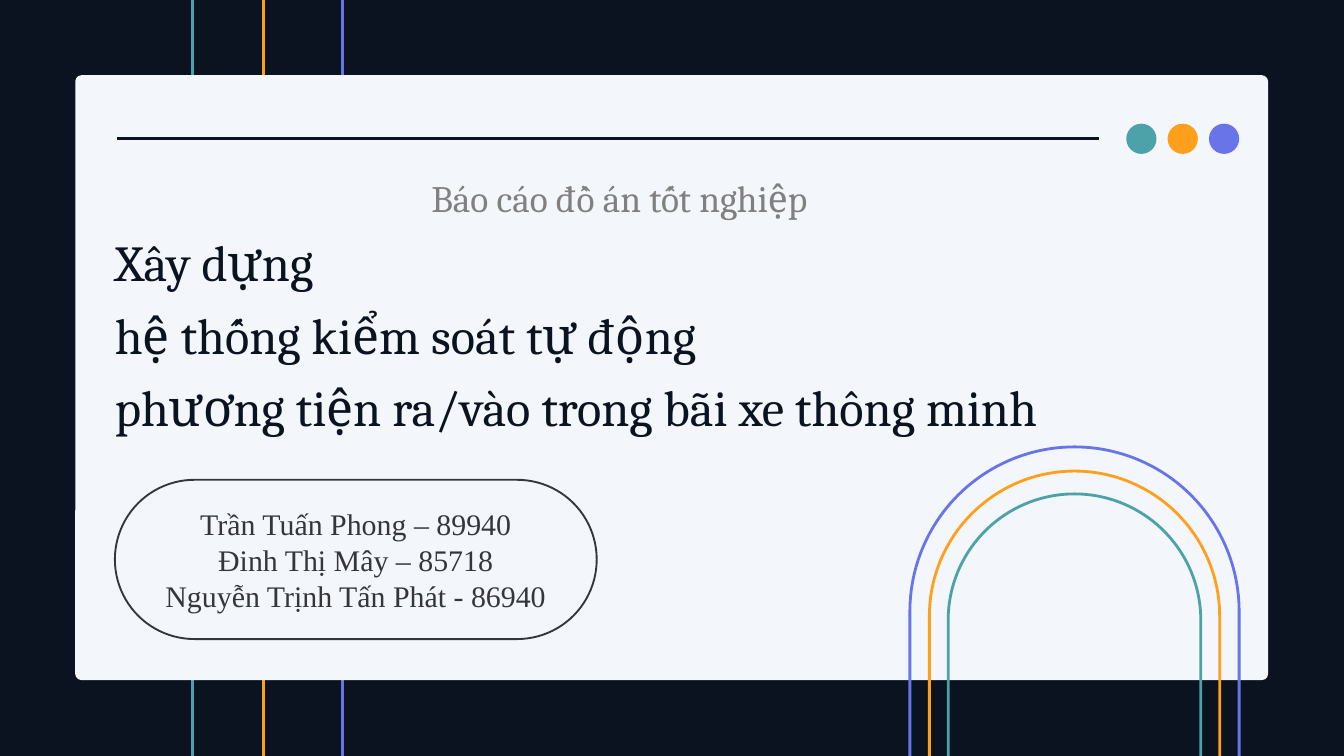
from lxml import etree
from pptx import Presentation
from pptx.dml.color import RGBColor
from pptx.enum.shapes import MSO_CONNECTOR, MSO_SHAPE
from pptx.enum.text import MSO_ANCHOR, MSO_AUTO_SIZE, PP_ALIGN
from pptx.oxml.ns import qn
from pptx.util import Inches, Pt

COLORS = {
    "navy": "0B1320",
    "panel": "F3F6FA",
    "teal": "4DA1A9",
    "orange": "FF9F1C",
    "violet": "6874E8",
    "gray": "808080",
    "charcoal": "35363B",
}
ACCENTS = ["teal", "orange", "violet"]
SLIDE_HEIGHT = 11.25


def rgb(name):
    return RGBColor.from_string(COLORS[name])


def add_line(slide, start, end, color):
    line = slide.shapes.add_connector(
        MSO_CONNECTOR.STRAIGHT, *(Inches(value) for value in (*start, *end))
    )
    line.line.color.rgb = rgb(color)
    line.line.width = Pt(3)
    etree.SubElement(line._element.spPr, qn("a:effectLst"))


def add_figure(slide, kind, box, fill=None, outline=None, width=3, adjustment=None):
    shape = slide.shapes.add_shape(kind, *(Inches(value) for value in box))
    shape.shadow.inherit = False
    if adjustment is not None:
        shape.adjustments[0] = adjustment
    if fill:
        shape.fill.solid()
        shape.fill.fore_color.rgb = rgb(fill)
    else:
        shape.fill.background()
    if outline:
        shape.line.color.rgb = rgb(outline)
        shape.line.width = Pt(width)
    else:
        shape.line.fill.background()
    return shape


def write_text(text_frame, lines, font, size, color, align=PP_ALIGN.LEFT, spacing=None):
    text_frame.word_wrap = True
    text_frame.text = "\n".join(lines)
    for paragraph in text_frame.paragraphs:
        paragraph.alignment = align
        paragraph.line_spacing = spacing
        for run in paragraph.runs:
            run.font.name = font
            run.font.size = Pt(size)
            run.font.color.rgb = rgb(color)


def add_heading(slide, box, lines, size, color):
    text_frame = slide.shapes.add_textbox(*(Inches(value) for value in box)).text_frame
    text_frame.margin_left = text_frame.margin_right = 0
    text_frame.margin_top = text_frame.margin_bottom = 0
    text_frame.auto_size = MSO_AUTO_SIZE.SHAPE_TO_FIT_TEXT
    write_text(text_frame, lines, "Cambria", size, color, spacing=1.2)


def add_arches(slide):
    center = 15.99
    sizes = [(6.65, 4.9, 6.02), (7.01, 4.32, 5.32), (7.35, 3.76, 4.63)]
    for color, (top, width, height) in zip(reversed(ACCENTS), sizes):
        box = (center - width / 2, top, width, height)
        add_figure(slide, MSO_SHAPE.ROUND_2_SAME_RECTANGLE, box,
                   outline=color, adjustment=0.5)


def add_authors(slide):
    shape = add_figure(slide, MSO_SHAPE.ROUNDED_RECTANGLE, (1.71, 7.14, 7.17, 2.37),
                       outline="charcoal", width=2, adjustment=0.5)
    shape.text_frame.vertical_anchor = MSO_ANCHOR.MIDDLE
    authors = [
        "Trần Tuấn Phong – 89940",
        "Đinh Thị Mây – 85718",
        "Nguyễn Trịnh Tấn Phát - 86940",
    ]
    write_text(shape.text_frame, authors, "Times New Roman", 32, "charcoal",
               PP_ALIGN.CENTER)


def main():
    presentation = Presentation()
    presentation.slide_width = Inches(20)
    presentation.slide_height = Inches(SLIDE_HEIGHT)
    slide = presentation.slides.add_slide(presentation.slide_layouts[6])
    slide.background.fill.solid()
    slide.background.fill.fore_color.rgb = rgb("navy")

    for color, left in zip(ACCENTS, (2.86, 3.92, 5.1)):
        add_line(slide, (left, SLIDE_HEIGHT), (left, 0), color)
    add_figure(slide, MSO_SHAPE.ROUNDED_RECTANGLE, (1.12, 1.12, 17.75, 9),
               fill="panel", adjustment=0.01)

    title = [
        "Xây dựng",
        "hệ thống kiểm soát tự động",
        "phương tiện ra/vào trong bãi xe thông minh",
    ]
    add_heading(slide, (1.71, 3.26, 15.46, 3.27), title, 54, "navy")
    add_arches(slide)

    add_line(slide, (1.74, 2.06), (16.35, 2.06), "navy")
    for index, color in enumerate(ACCENTS):
        add_figure(slide, MSO_SHAPE.OVAL, (16.76 + index * 0.615, 1.84, 0.45, 0.45),
                   fill=color)

    add_heading(slide, (6.42, 2.47, 7.16, 0.81), ["Báo cáo đồ án tốt nghiệp"], 40, "gray")
    add_authors(slide)
    presentation.save("out.pptx")


if __name__ == "__main__":
    main()
